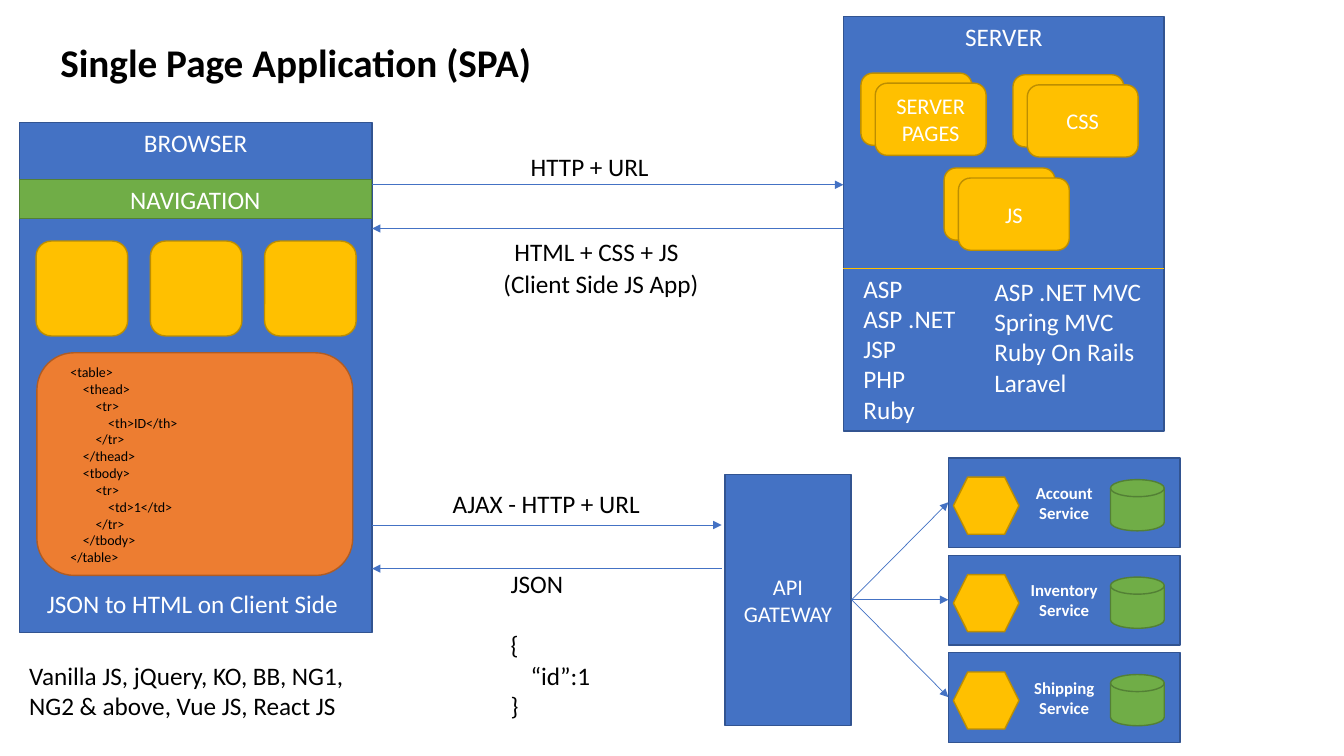
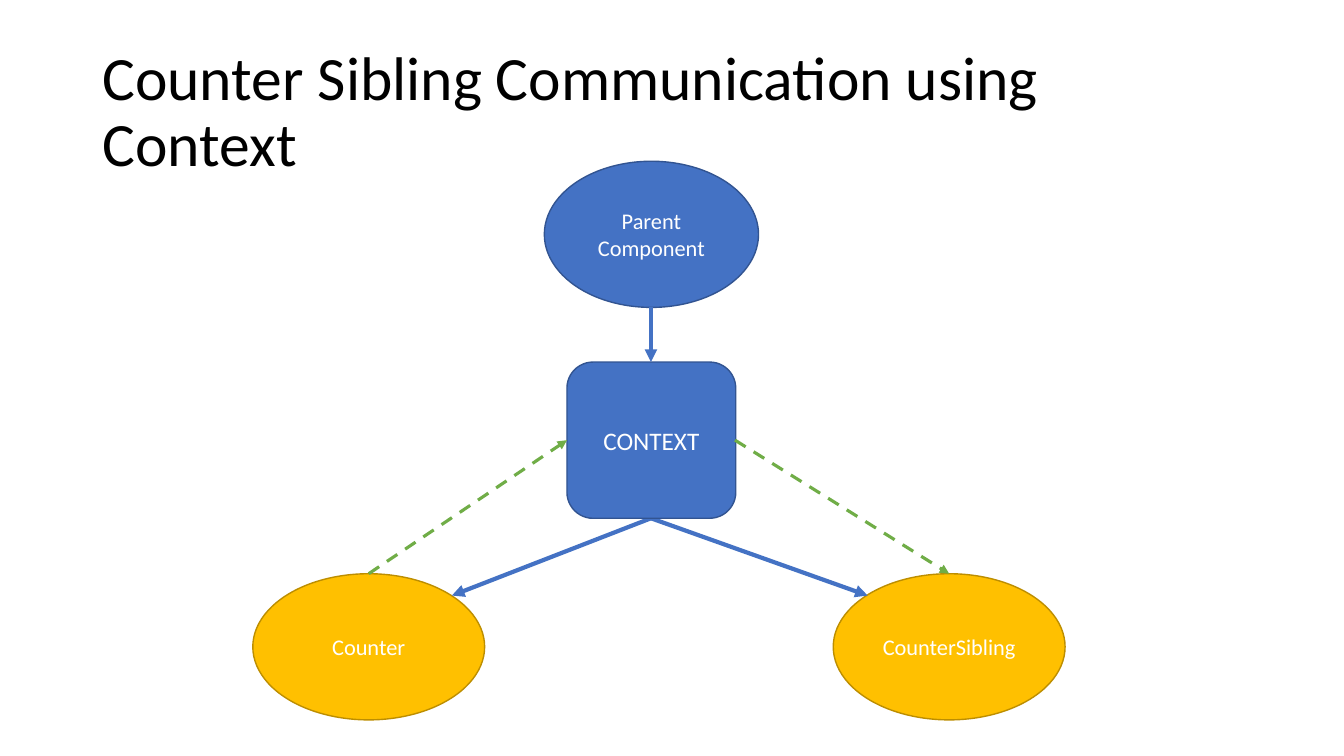
from pptx import Presentation
from pptx.dml.color import RGBColor
from pptx.enum.dml import MSO_LINE as Dash
from pptx.enum.shapes import MSO_CONNECTOR as Connector, MSO_SHAPE as Preset
from pptx.enum.text import MSO_ANCHOR as Anchor, MSO_AUTO_SIZE as AutoSize, PP_ALIGN as Align
from pptx.oxml.ns import qn
from pptx.util import Inches, Pt
from lxml.etree import SubElement

COLORS = {
    "white": "FFFFFF", "black": "000000",
    "blue": "4472C4", "blue_edge": "325491",
    "gold": "FFC000", "gold_edge": "BD8E00",
    "green": "70AD47", "green_edge": "538035",
    "orange": "ED7D31", "orange_edge": "AF5C24",
}
COLUMNS, ROWS = 160, 90
WIDTH, HEIGHT = Inches(13.333), Inches(7.5)

CODE = """<table>
    <thead>
        <tr>
            <th>ID</th>
        </tr>
    </thead>
    <tbody>
        <tr>
            <td>1</td>
        </tr>
    </tbody>
</table>"""


def color(name):
    return RGBColor.from_string(COLORS[name])


def format_text(frame, text, size=18, ink="black", bold=False, align=Align.LEFT,
                anchor=Anchor.TOP, spacing=None):
    frame.vertical_anchor = anchor
    for index, line in enumerate(text.split("\n")):
        paragraph = frame.add_paragraph() if index else frame.paragraphs[0]
        paragraph.alignment = align
        paragraph.line_spacing = spacing
        run = paragraph.add_run()
        run.text = line
        run.font.name = "Calibri"
        run.font.size = Pt(size)
        run.font.bold = bold
        run.font.color.rgb = color(ink)
    return frame.paragraphs


class Deck:
    def __init__(self):
        self.presentation = Presentation()
        self.presentation.slide_width = WIDTH
        self.presentation.slide_height = HEIGHT
        self.slide = None

    def new_slide(self):
        self.slide = self.presentation.slides.add_slide(self.presentation.slide_layouts[6])

    def grid(self, *values):
        cells = (WIDTH / COLUMNS, HEIGHT / ROWS)
        return [round(value * cells[index % 2]) for index, value in enumerate(values)]

    def shape(self, preset, left, top, width, height, fill="blue", text="", size=18,
              anchor=Anchor.MIDDLE, bold=False):
        shape = self.slide.shapes.add_shape(preset, *self.grid(left, top, width, height))
        shape.shadow.inherit = False
        shape.fill.solid()
        shape.fill.fore_color.rgb = color(fill)
        shape.line.color.rgb = color(fill + "_edge")
        shape.line.width = Pt(1)
        if text:
            format_text(shape.text_frame, text, size=size, ink="white", bold=bold,
                        align=Align.CENTER, anchor=anchor)

    def text(self, left, top, width, height, text, wrap=False, fit=True, **style):
        box = self.slide.shapes.add_textbox(*self.grid(left, top, width, height))
        frame = box.text_frame
        frame.word_wrap = wrap
        frame.auto_size = AutoSize.SHAPE_TO_FIT_TEXT if fit else AutoSize.NONE
        return format_text(frame, text, **style)

    def line(self, start, end, ink="blue", weight=0.5, dashed=False, arrow=True):
        connector = self.slide.shapes.add_connector(
            Connector.STRAIGHT, *self.grid(*start, *end))
        connector.line.color.rgb = color(ink)
        connector.line.width = Pt(weight)
        if dashed:
            connector.line.dash_style = Dash.DASH
        if arrow:
            SubElement(connector.line._get_or_add_ln(), qn("a:tailEnd"), type="triangle")
        SubElement(connector._element.spPr, qn("a:effectLst"))

    def stack(self, left, top, text):
        self.shape(Preset.ROUNDED_RECTANGLE, left, top, 13.2, 8.6, "gold")
        self.shape(Preset.ROUNDED_RECTANGLE, left + 1.7, top + 1.2, 13.2, 8.6, "gold",
                   text, size=16)

    def service(self, left, top, name):
        self.shape(Preset.RECTANGLE, left, top, 27.6, 10.7, text=name + "\nService",
                   size=12, bold=True)
        self.shape(Preset.HEXAGON, left + 0.6, top + 2.3, 7.8, 6.8, "gold")
        self.shape(Preset.FLOWCHART_MAGNETIC_DISK, left + 19.3, top + 2.6, 6.4, 6.1, "green")


def draw_server(deck):
    deck.shape(Preset.RECTANGLE, 100.4, 2, 38.2, 49.3, text="SERVER", anchor=Anchor.TOP)
    deck.text(101.6, 31.9, 14.5, 19.4, "ASP\nASP .NET\nJSP\nPHP\nRuby", ink="white")
    deck.text(117.2, 32.3, 21.4, 15.7, "ASP .NET MVC\nSpring MVC\nRuby On Rails\nLaravel",
              wrap=True, ink="white")
    for left, top, name in ((102.5, 8.7, "SERVER PAGES"), (120.6, 8.9, "CSS"),
                            (112.4, 20, "JS")):
        deck.stack(left, top, name)
    deck.line((100.4, 32), (138.6, 32), "gold", arrow=False)


def draw_browser(deck):
    deck.shape(Preset.RECTANGLE, 2.3, 14.6, 42, 60.7, text="BROWSER", anchor=Anchor.TOP)
    deck.shape(Preset.RECTANGLE, 2.3, 21.4, 41.9, 4.6, "green", "NAVIGATION")
    for column in range(3):
        deck.shape(Preset.ROUNDED_RECTANGLE, 4.3 + column * 13.6, 28.7, 10.9, 11.3, "gold")
    deck.shape(Preset.ROUNDED_RECTANGLE, 4.4, 42, 37.6, 26.5, "orange")
    deck.text(7.2, 42.7, 29.3, 25.4, CODE, wrap=True, size=10)
    deck.text(4.4, 69.5, 37.6, 4.8, "JSON to HTML on Client Side", ink="white")
    deck.text(2.3, 78, 40.3, 8.5,
              "Vanilla JS, jQuery, KO, BB, NG1,\nNG2 & above, Vue JS, React JS")


def draw_messages(deck):
    for right, request, response in ((100.4, 22, 27.2), (85.9, 62.5, 67.7)):
        deck.line((44.3, request), (right, request))
        deck.line((right, response), (44.3, response))
    deck.text(62, 17.4, 16.7, 4.8, "HTTP + URL")
    deck.text(59.9, 27.5, 22.2, 4.8, "HTML + CSS + JS", align=Align.CENTER)
    deck.text(56.3, 31.3, 30.5, 4.8, "(Client Side JS App)", wrap=True, align=Align.CENTER)
    deck.text(52.7, 57.6, 25, 4.8, "AJAX - HTTP + URL")
    payload = deck.text(59.6, 67.1, 12, 19.4, "JSON\n{\n“id”:1\n}", wrap=True)
    payload[1].space_before = Pt(22)
    payload[2]._p.get_or_add_pPr().set("marL", str(Inches(0.2)))


def draw_services(deck):
    deck.shape(Preset.RECTANGLE, 86.3, 56.5, 15, 29.9, text="API GATEWAY", size=16)
    for row, name in enumerate(("Account", "Inventory", "Shipping")):
        deck.service(112.9, 54.5 + row * 11.6, name)
        deck.line((101.4, 71.4), (112.9, 59.8 + row * 11.6))


def draw_application(deck):
    deck.new_slide()
    deck.text(6, 4, 61, 6.8, "Single Page Application (SPA)", size=28, bold=True)
    draw_server(deck)
    draw_browser(deck)
    draw_messages(deck)
    draw_services(deck)


def draw_context(deck):
    deck.new_slide()
    deck.text(11, 4.8, 138, 17.4, "Counter Sibling Communication using Context", wrap=True,
              fit=False, size=44, anchor=Anchor.MIDDLE, spacing=0.9)
    deck.shape(Preset.OVAL, 64.8, 19.2, 25.5, 17.4, text="Parent Component", size=16)
    for left, name in ((30.1, "Counter"), (99.2, "CounterSibling")):
        deck.shape(Preset.OVAL, left, 68.3, 27.6, 17.4, "gold", name, size=16)
    for end in ((53.8, 70.9), (103.3, 70.9)):
        deck.line((77.5, 61.7), end, weight=3)
    deck.shape(Preset.ROUNDED_RECTANGLE, 67.5, 43.1, 20.1, 18.6, text="CONTEXT")
    for start, end in (((43.9, 68.3), (67.5, 52.4)), ((87.5, 52.4), (113, 68.3))):
        deck.line(start, end, "green", weight=2.25, dashed=True)
    deck.line((77.5, 36.6), (77.5, 43.1), weight=3)


def main():
    deck = Deck()
    draw_application(deck)
    draw_context(deck)
    deck.presentation.save("out.pptx")


if __name__ == "__main__":
    main()
